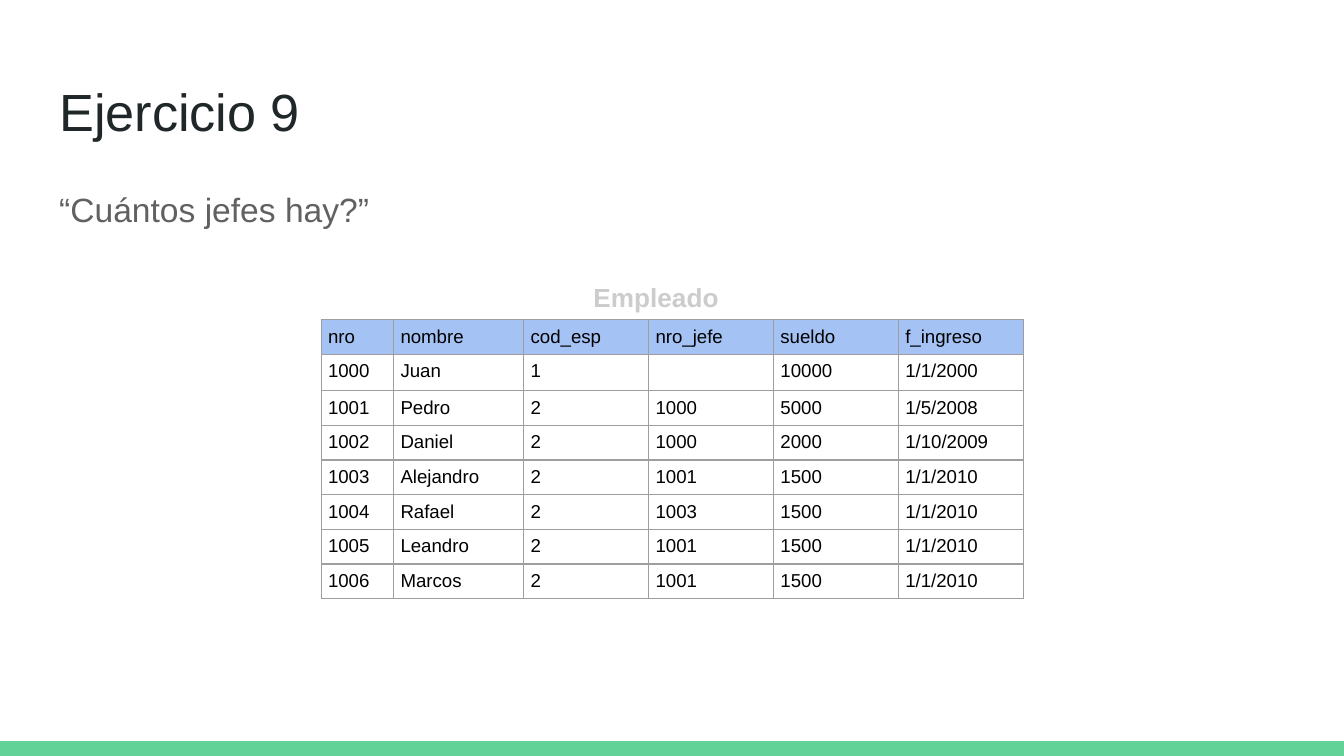
import dataclasses
import typing

import lxml.etree
import pptx
import pptx.dml.color
import pptx.enum.shapes
import pptx.enum.text
import pptx.oxml.ns
import pptx.util

Cm = pptx.util.Cm
Pt = pptx.util.Pt
qn = pptx.oxml.ns.qn
Align = pptx.enum.text.PP_ALIGN


@dataclasses.dataclass(frozen=True)
class Theme:
    face: str = "Arial"
    bar: str = "63D297"
    head: str = "A4C2F4"
    rule: str = "9E9E9E"
    title: str = "202729"
    body: str = "616161"
    label: str = "CCCCCC"
    cell: str = "000000"
    title_size: int = 28
    body_size: int = 18
    label_size: int = 14
    cell_size: int = 10
    rule_size: float = 0.75


@dataclasses.dataclass(frozen=True)
class Box:
    left: float
    top: float
    width: float
    height: float

    def place(self) -> tuple:
        return Cm(self.left), Cm(self.top), Cm(self.width), Cm(self.height)


@dataclasses.dataclass(frozen=True)
class Style:
    size: int
    color: str
    bold: bool = False
    align: typing.Any = Align.LEFT
    space: float = 1.0
    after: int = 0


THEME = Theme()
TITLE = Style(THEME.title_size, THEME.title)
BODY = Style(THEME.body_size, THEME.body, space=1.15, after=16)
LABEL = Style(THEME.label_size, THEME.label, True, Align.CENTER, 1.15, 16)
CELL = Style(THEME.cell_size, THEME.cell)

WIDTH, HEIGHT, BAR = 25.4, 14.29, 0.28
EDGE, WIDE = 0.87, 23.67
WIDTHS = [1.37, 2.46] + [2.36] * 4
ROW = 0.48

STAFF = [
    ("nro", "nombre", "cod_esp", "nro_jefe", "sueldo", "f_ingreso"),
    ("1000", "Juan", "1", "", "10000", "1/1/2000"),
    ("1001", "Pedro", "2", "1000", "5000", "1/5/2008"),
    ("1002", "Daniel", "2", "1000", "2000", "1/10/2009"),
    ("1003", "Alejandro", "2", "1001", "1500", "1/1/2010"),
    ("1004", "Rafael", "2", "1003", "1500", "1/1/2010"),
    ("1005", "Leandro", "2", "1001", "1500", "1/1/2010"),
    ("1006", "Marcos", "2", "1001", "1500", "1/1/2010"),
]


def rgb(code: str) -> pptx.dml.color.RGBColor:
    return pptx.dml.color.RGBColor.from_string(code)


def apply(item: typing.Any, values: dict) -> None:
    for name, value in values.items():
        setattr(item, name, value)


def inset(item: typing.Any, size: float) -> None:
    sides = ("left", "top", "right", "bottom")
    apply(item, {f"margin_{side}": Cm(size) for side in sides})


def write(frame: typing.Any, text: str, style: Style) -> None:
    para = frame.paragraphs[0]
    apply(para, {"alignment": style.align, "line_spacing": style.space,
                 "space_after": Pt(style.after)})
    if not text:
        # Keep the empty line as low as its neighbours
        lxml.etree.SubElement(para._p, qn("a:endParaRPr"), sz=str(style.size * 100))
        return
    run = para.add_run()
    run.text = text
    apply(run.font, {"name": THEME.face, "size": Pt(style.size), "bold": style.bold})
    run.font.color.rgb = rgb(style.color)


def fit(shape: typing.Any, box: Box, text: str, style: Style) -> None:
    apply(shape, dict(zip(("left", "top", "width", "height"), box.place())))
    frame = shape.text_frame
    apply(frame, {"word_wrap": True,
                  "auto_size": pptx.enum.text.MSO_AUTO_SIZE.NONE,
                  "vertical_anchor": pptx.enum.text.MSO_ANCHOR.TOP})
    inset(frame, 0.25)
    write(frame, text, style)


def border(cell: typing.Any) -> None:
    props = cell._tc.get_or_add_tcPr()
    for spot, side in enumerate(("lnL", "lnR", "lnT", "lnB")):
        line = lxml.etree.Element(qn(f"a:{side}"), w=str(Pt(THEME.rule_size)))
        fill = lxml.etree.SubElement(line, qn("a:solidFill"))
        lxml.etree.SubElement(fill, qn("a:srgbClr"), val=THEME.rule)
        props.insert(spot, line)


def grid(slide: typing.Any, left: float, top: float) -> None:
    box = Box(left, top, sum(WIDTHS), ROW * len(STAFF))
    table = slide.shapes.add_table(len(STAFF), len(WIDTHS), *box.place()).table
    apply(table, {"first_row": False, "horz_banding": False})
    for column, width in zip(table.columns, WIDTHS):
        column.width = Cm(width)
    for r, row in enumerate(STAFF):
        table.rows[r].height = Cm(ROW)
        for c, text in enumerate(row):
            cell = table.cell(r, c)
            inset(cell, 0.13)
            if r == 0:
                cell.fill.solid()
                cell.fill.fore_color.rgb = rgb(THEME.head)
            else:
                cell.fill.background()
            border(cell)
            write(cell.text_frame, text, CELL)


def main() -> None:
    deck = pptx.Presentation()
    apply(deck, {"slide_width": Cm(WIDTH), "slide_height": Cm(HEIGHT)})
    slide = deck.slides.add_slide(deck.slide_layouts.get_by_name("Title Only"))
    shapes = slide.shapes

    # Bottom bar
    bar = shapes.add_shape(pptx.enum.shapes.MSO_SHAPE.RECTANGLE,
                           *Box(0, HEIGHT - BAR, WIDTH, BAR).place())
    bar.shadow.inherit = False
    bar.fill.solid()
    bar.fill.fore_color.rgb = rgb(THEME.bar)
    bar.line.fill.background()

    # Title and question
    fit(shapes.title, Box(EDGE, 1.24, WIDE, 1.6), "Ejercicio 9", TITLE)
    body = Box(EDGE, 3.2, WIDE, 1.4)
    fit(shapes.add_textbox(*body.place()), body, "“Cuántos jefes hay?”", BODY)

    # Staff table and its name
    grid(slide, 6.07, 6.04)
    label = Box(9.9, 4.98, 5, 1.07)
    fit(shapes.add_textbox(*label.place()), label, "Empleado", LABEL)

    deck.save("out.pptx")


if __name__ == "__main__":
    main()
